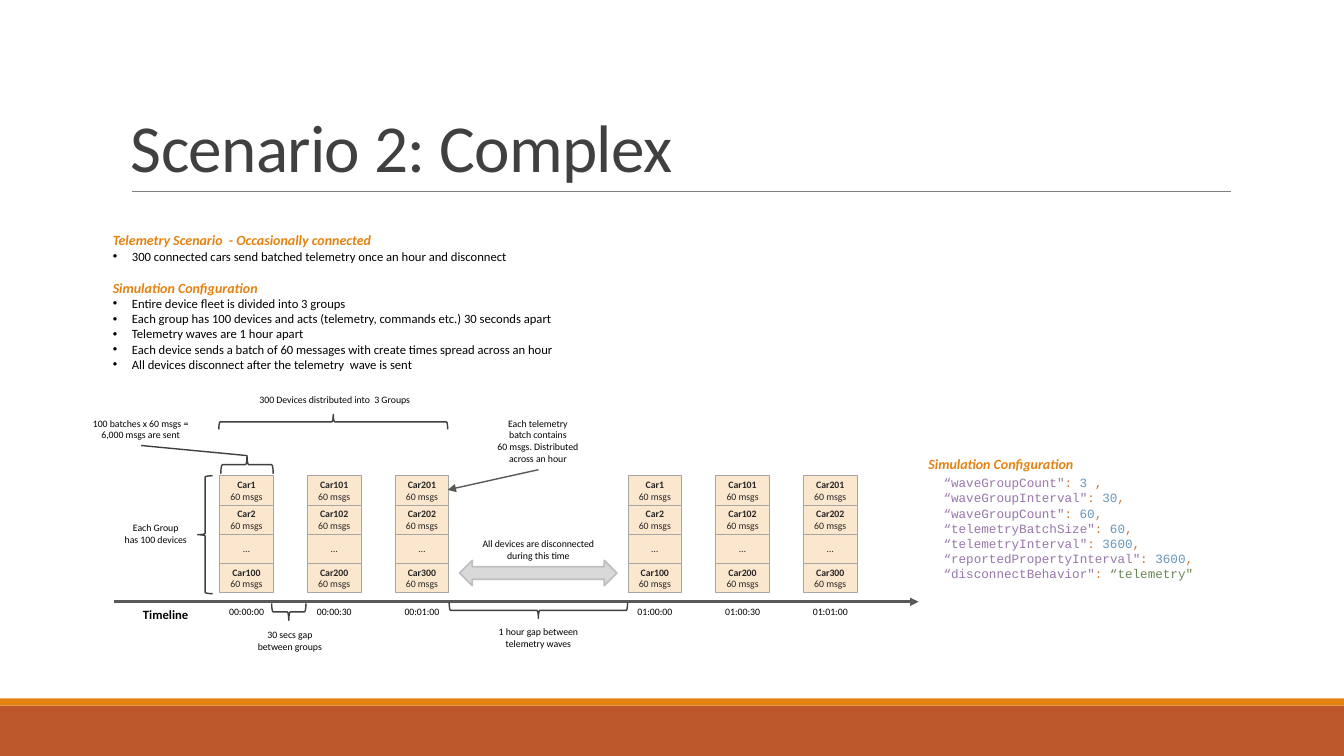
from dataclasses import dataclass

from lxml import etree
from pptx import Presentation, util as u
from pptx.dml.color import RGBColor
from pptx.enum import shapes, text
from pptx.oxml.ns import qn

SHAPE = shapes.MSO_SHAPE
LEFT, CENTER = text.PP_ALIGN.LEFT, text.PP_ALIGN.CENTER
TOP, MIDDLE, BOTTOM = (text.MSO_ANCHOR.TOP, text.MSO_ANCHOR.MIDDLE,
                       text.MSO_ANCHOR.BOTTOM)


@dataclass(frozen=True)
class Theme:
    font: str = "Calibri"
    code_font: str = "Courier New"
    title_size: float = 48
    heading_size: float = 10
    body_size: float = 9
    label_size: float = 7
    title: str = "404040"
    accent: str = "E48312"
    footer: str = "BD582C"
    rule: str = "808080"
    black: str = "000000"
    cell_text: str = "262626"
    cell_fill: str = "FBE6CE"
    cell_line: str = "A6A6A6"
    brace: str = "404040"
    arrow: str = "595959"
    gap_fill: str = "D9D9D9"
    gap_line: str = "BFBFBF"
    code_key: str = "9876AA"
    code_mark: str = "CC7832"
    code_number: str = "6897BB"
    code_string: str = "6A8759"


class SlideBuilder:
    def __init__(self, page, theme):
        self.page = page
        self.theme = theme

    def style(self, span, size, color, bold=False, italic=False, font=None):
        span.font.name = font or self.theme.font
        span.font.size = u.Pt(size)
        span.font.color.rgb = RGBColor.from_string(color)
        span.font.bold = bold
        span.font.italic = italic

    def shape(self, kind, at, fill=None, line=None, width=1, rotation=0):
        box = self.page.shapes.add_shape(kind, *map(u.Inches, at))
        box.shadow.inherit = False
        box.rotation = rotation
        if fill:
            box.fill.solid()
            box.fill.fore_color.rgb = RGBColor.from_string(fill)
        else:
            box.fill.background()
        if line:
            box.line.color.rgb = RGBColor.from_string(line)
            box.line.width = u.Pt(width)
        else:
            box.line.fill.background()
        return box

    def brace(self, at, rotation=0):
        self.shape(SHAPE.LEFT_BRACE, at, line=self.theme.brace, rotation=rotation)

    def line(self, start, end, color, width, arrow=False):
        line = self.page.shapes.add_connector(
            shapes.MSO_CONNECTOR.STRAIGHT, *map(u.Inches, start + end))
        line.line.color.rgb = RGBColor.from_string(color)
        line.line.width = u.Pt(width)
        if arrow:
            etree.SubElement(line.line._ln, qn("a:tailEnd"), type="triangle")
        etree.SubElement(line._element.spPr, qn("a:effectLst"))

    def text_box(self, at, wrap=True, anchor=TOP, grow=True):
        frame = self.page.shapes.add_textbox(*map(u.Inches, at)).text_frame
        frame.word_wrap = wrap
        frame.vertical_anchor = anchor
        frame.auto_size = (text.MSO_AUTO_SIZE.SHAPE_TO_FIT_TEXT if grow
                           else text.MSO_AUTO_SIZE.NONE)
        return frame

    def label(self, at, words, wrap=False, align=CENTER, size=None,
              color=None, bold=False, italic=False):
        frame = self.text_box(at, wrap)
        frame.text = words
        for para in frame.paragraphs:
            para.alignment = align
            self.style(para.runs[0], size or self.theme.label_size,
                       color or self.theme.black, bold, italic)

    def title(self, at, words):
        frame = self.text_box(at, anchor=BOTTOM, grow=False)
        frame.text = words
        para = frame.paragraphs[0]
        para.line_spacing = 0.85
        self.style(para.runs[0], self.theme.title_size, self.theme.title)
        para.runs[0].font._element.set("spc", "-50")

    def cell(self, at, words):
        """Draw one device cell; a first line followed by others is bold."""
        box = self.shape(SHAPE.RECTANGLE, at, self.theme.cell_fill,
                         self.theme.cell_line, 0.5)
        frame = box.text_frame
        frame.margin_top = frame.margin_bottom = 0
        frame.margin_left = frame.margin_right = 0
        frame.vertical_anchor = MIDDLE
        frame.text = words
        for i, para in enumerate(frame.paragraphs):
            para.alignment = CENTER
            self.style(para.runs[0], self.theme.label_size, self.theme.cell_text,
                       bold=i == 0 and len(frame.paragraphs) > 1)

    def bullet_sections(self, at, sections):
        frame = self.text_box(at)
        frame.text = "\n".join(line for heading, points in sections
                               for line in (heading, *points))
        headings = [heading for heading, points in sections]
        for i, para in enumerate(frame.paragraphs):
            span = para.runs[0]
            if para.text in headings:
                self.style(span, self.theme.heading_size, self.theme.accent, True, True)
                para.space_before = u.Pt(11 if i else 0)
                continue
            self.style(span, self.theme.body_size, self.theme.black)
            props = para._p.get_or_add_pPr()
            props.set("marL", str(u.Inches(0.19)))
            props.set("indent", str(u.Inches(-0.19)))
            etree.SubElement(props, qn("a:buFont"), typeface="Arial")
            etree.SubElement(props, qn("a:buChar"), char="•")

    def code(self, at, settings):
        theme = self.theme
        frame = self.text_box(at, anchor=MIDDLE)
        for i, (key, value, end) in enumerate(settings):
            para = frame.paragraphs[0] if i == 0 else frame.add_paragraph()
            para._p.get_or_add_pPr().set("marL", str(u.Inches(0.15)))
            value_color = theme.code_number if value[0].isdigit() else theme.code_string
            for words, color in ((f"“{key}\"", theme.code_key), (": ", theme.code_mark),
                                 (value, value_color), (end, theme.code_mark)):
                if words:
                    span = para.add_run()
                    span.text = words
                    self.style(span, theme.body_size, color, font=theme.code_font)


def draw_wave(slide, wave, left):
    """Draw the three device groups of one wave with their start times."""
    for group in range(3):
        x = left + 0.87 * group
        first, seconds = 100 * group + 1, 30 * group
        cells = [f"Car{first}\n60 msgs", f"Car{first + 1}\n60 msgs", "…",
                 f"Car{first + 99}\n60 msgs"]
        for row, words in enumerate(cells):
            slide.cell((x, 4.72 + 0.29 * row, 0.53, 0.29), words)
        slide.label((x - 0.01, 5.96, 0.55, 0.22),
                    f"{wave:02}:{seconds // 60:02}:{seconds % 60:02}")


def main():
    deck = Presentation()
    deck.slide_width, deck.slide_height = u.Inches(13.33), u.Inches(7.5)
    theme = Theme()
    slide = SlideBuilder(deck.slides.add_slide(deck.slide_layouts[6]), theme)

    slide.shape(SHAPE.RECTANGLE, (0, 7, 13.33, 0.5), theme.footer)
    slide.shape(SHAPE.RECTANGLE, (0, 6.93, 13.33, 0.07), theme.accent)
    slide.line((1.31, 1.9), (12.21, 1.9), theme.rule, 0.5)
    slide.title((1.2, 0.31, 11, 1.59), "Scenario 2: Complex")

    for wave, left in enumerate((2.18, 6.23)):
        draw_wave(slide, wave, left)
    slide.line((1.13, 5.97), (9.11, 5.97), theme.arrow, 2, arrow=True)
    slide.label((1.32, 5.97, 0.66, 0.25), "Timeline", align=LEFT,
                size=theme.body_size, bold=True)

    slide.brace((1.96, 4.72, 0.15, 1.17))
    slide.brace((3.23, 3.05, 0.15, 2.27), 90)
    slide.brace((2.36, 4.35, 0.18, 0.52), 90)
    slide.brace((2.78, 5.9, 0.17, 0.34), 270)
    slide.brace((5.26, 5.17, 0.16, 1.77), 270)
    slide.shape(SHAPE.LEFT_RIGHT_ARROW, (4.56, 5.56, 1.56, 0.25),
                theme.gap_fill, theme.gap_line, 1.25)
    slide.line((5.34, 4.66), (4.44, 4.86), theme.arrow, 1, arrow=True)
    slide.line((1.4, 4.42), (2.45, 4.52), theme.brace, 1)

    slide.label((1.13, 5.13, 0.83, 0.34), "Each Group\nhas 100 devices")
    slide.label((2.45, 6.19, 0.85, 0.34), "30 secs gap\nbetween groups")
    slide.label((4.84, 6.16, 1, 0.34), "1 hour gap between\ntelemetry waves")
    for at, words in (
        ((2.19, 3.86, 2.26, 0.22), "300 Devices distributed into  3 Groups"),
        ((4.78, 4.09, 1.11, 0.57), "Each telemetry\nbatch contains\n"
                                   "60 msgs. Distributed across an hour"),
        ((4.56, 5.29, 1.56, 0.34), "All devices are disconnected during this time"),
        ((0.81, 4.09, 1.17, 0.34), "100 batches x 60 msgs = 6,000 msgs are sent"),
    ):
        slide.label(at, words, wrap=True)

    slide.bullet_sections((1.02, 2.25, 7.08, 1.5), [
        ("Telemetry Scenario  - Occasionally connected",
         ["300 connected cars send batched telemetry once an hour and disconnect"]),
        ("Simulation Configuration",
         ["Entire device fleet is divided into 3 groups",
          "Each group has 100 devices and acts (telemetry, commands etc.) 30 seconds apart",
          "Telemetry waves are 1 hour apart",
          "Each device sends a batch of 60 messages with create times spread across an hour",
          "All devices disconnect after the telemetry  wave is sent"]),
    ])
    slide.label((9.11, 4.47, 1.66, 0.27), "Simulation Configuration", align=LEFT,
                size=theme.heading_size, color=theme.accent, bold=True, italic=True)
    slide.code((9.11, 4.66, 2.89, 1.16), [
        ("waveGroupCount", "3 ", ","), ("waveGroupInterval", "30", ","),
        ("waveGroupCount", "60", ","), ("telemetryBatchSize", "60", ","),
        ("telemetryInterval", "3600", ","), ("reportedPropertyInterval", "3600", ","),
        ("disconnectBehavior", "“telemetry\"", "")])
    deck.save("out.pptx")


if __name__ == "__main__":
    main()
